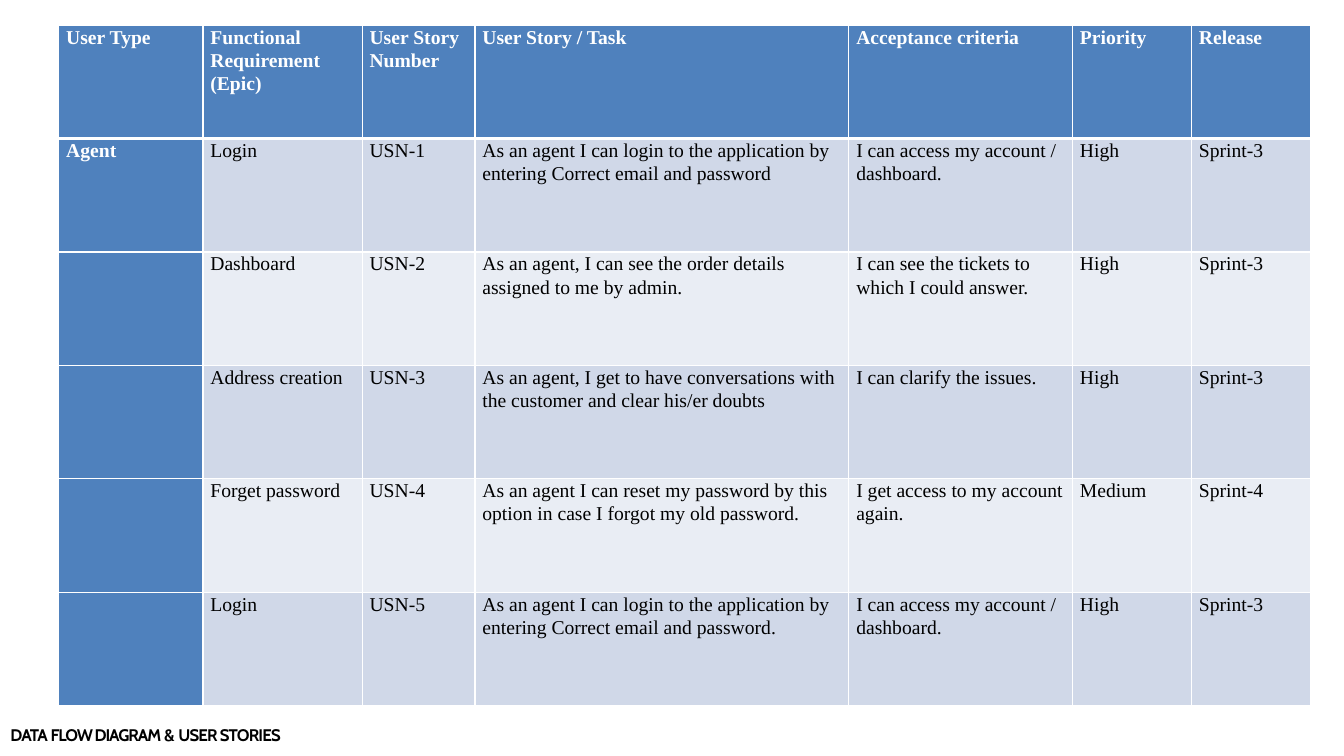
"""Build the user stories table slide."""
from lxml.etree import SubElement
from pptx import Presentation
from pptx.dml.color import RGBColor
from pptx.enum.text import MSO_AUTO_SIZE
from pptx.oxml.ns import qn
from pptx.util import Pt

HEADER = ["User Type", "Functional Requirement (Epic)", "User Story Number",
          "User Story / Task", "Acceptance criteria", "Priority", "Release"]
STORIES = [
    ("Agent", "Login", "USN-1",
     "As an agent I can login to the application by entering Correct email and password",
     "I can access my account / dashboard.", "High", "Sprint-3"),
    ("", "Dashboard", "USN-2",
     "As an agent, I can see the order details assigned to me by admin.",
     "I can see the tickets to which I could answer.", "High", "Sprint-3"),
    ("", "Address creation", "USN-3",
     "As an agent, I get to have conversations with the customer and clear his/er doubts",
     "I can clarify the issues.", "High", "Sprint-3"),
    ("", "Forget password", "USN-4",
     "As an agent I can reset my password by this option in case I forgot my old password.",
     "I get access to my account again.", "Medium", "Sprint-4"),
    ("", "Login", "USN-5",
     "As an agent I can login to the application by entering Correct email and password.",
     "I can access my account / dashboard.", "High", "Sprint-3"),
]
TITLE = [("DATA ", -70), ("FLOW DIAGRAM ", -80), ("& ", 0), ("USER STORIES", -60)]
COLORS = {"head": "4F81BD", "odd": "D0D8E8", "even": "E9EDF4",
          "white": "FFFFFF", "black": "000000"}
COL_WIDTHS = [103, 113.7, 80.6, 267.1, 159.8, 85, 85]
ROW_HEIGHT = 81
TABLE_LEFT, TABLE_TOP = 42, 18
CELL = {"margin_left": Pt(5.3), "margin_right": Pt(5.3), "margin_top": 0, "margin_bottom": 0}
CELL_PARA = {"line_spacing": 1.07, "space_after": Pt(8)}
TITLE_FRAME = {"margin_left": 0, "margin_right": 0, "margin_top": Pt(2), "margin_bottom": 0,
               "word_wrap": True, "auto_size": MSO_AUTO_SIZE.SHAPE_TO_FIT_TEXT}


def apply(obj, formats):
    for name, value in formats.items():
        setattr(obj, name, value)


def style_font(font, name, size, color, bold):
    apply(font, {"name": name, "size": Pt(size), "bold": bold})
    font.color.rgb = RGBColor.from_string(COLORS[color])


def add_borders(cell, widths):
    tcPr = cell._tc.get_or_add_tcPr()
    for side, width in widths.items():
        ln = SubElement(tcPr, qn(f"a:ln{side}"), w=str(Pt(width)))
        fill = SubElement(ln, qn("a:solidFill"))
        SubElement(fill, qn("a:srgbClr"), val=COLORS["white"])


def fill_cell(cell, text, row, col):
    heading = row == 0 or col == 0
    apply(cell, CELL)
    add_borders(cell, {"L": 1, "R": 1, "T": 3 if row == 1 else 1, "B": 3 if row == 0 else 1})
    cell.fill.solid()
    band = "head" if heading else ("odd" if row % 2 else "even")
    cell.fill.fore_color.rgb = RGBColor.from_string(COLORS[band])
    p = cell.text_frame.paragraphs[0]
    apply(p, CELL_PARA)
    if text:
        r = p.add_run()
        r.text = text
        style_font(r.font, "Times New Roman", 14, "white" if heading else "black", heading)


def add_stories(s):
    rows = [HEADER, *STORIES]
    table = s.shapes.add_table(len(rows), len(HEADER), Pt(TABLE_LEFT), Pt(TABLE_TOP),
                               Pt(sum(COL_WIDTHS)), Pt(ROW_HEIGHT * len(rows))).table
    for column, width in zip(table.columns, COL_WIDTHS):
        column.width = Pt(width)
    for i, texts in enumerate(rows):
        table.rows[i].height = Pt(ROW_HEIGHT)
        for j, text in enumerate(texts):
            fill_cell(table.cell(i, j), text, i, j)


def add_title(s):
    tf = s.shapes.add_textbox(Pt(6.5), Pt(515.5), Pt(211), Pt(18)).text_frame
    apply(tf, TITLE_FRAME)
    p = tf.paragraphs[0]
    p.space_before = Pt(1.9)
    p._p.get_or_add_pPr().set("marL", str(Pt(1)))
    for text, spacing in TITLE:
        r = p.add_run()
        r.text = text
        style_font(r.font, "Cabin", 12, "black", True)
        r._r.get_or_add_rPr().set("spc", str(spacing))


def main():
    prs = Presentation()
    apply(prs, {"slide_width": Pt(960), "slide_height": Pt(540)})
    s = prs.slides.add_slide(prs.slide_layouts[6])
    add_title(s)
    add_stories(s)
    prs.save("out.pptx")


if __name__ == "__main__":
    main()
